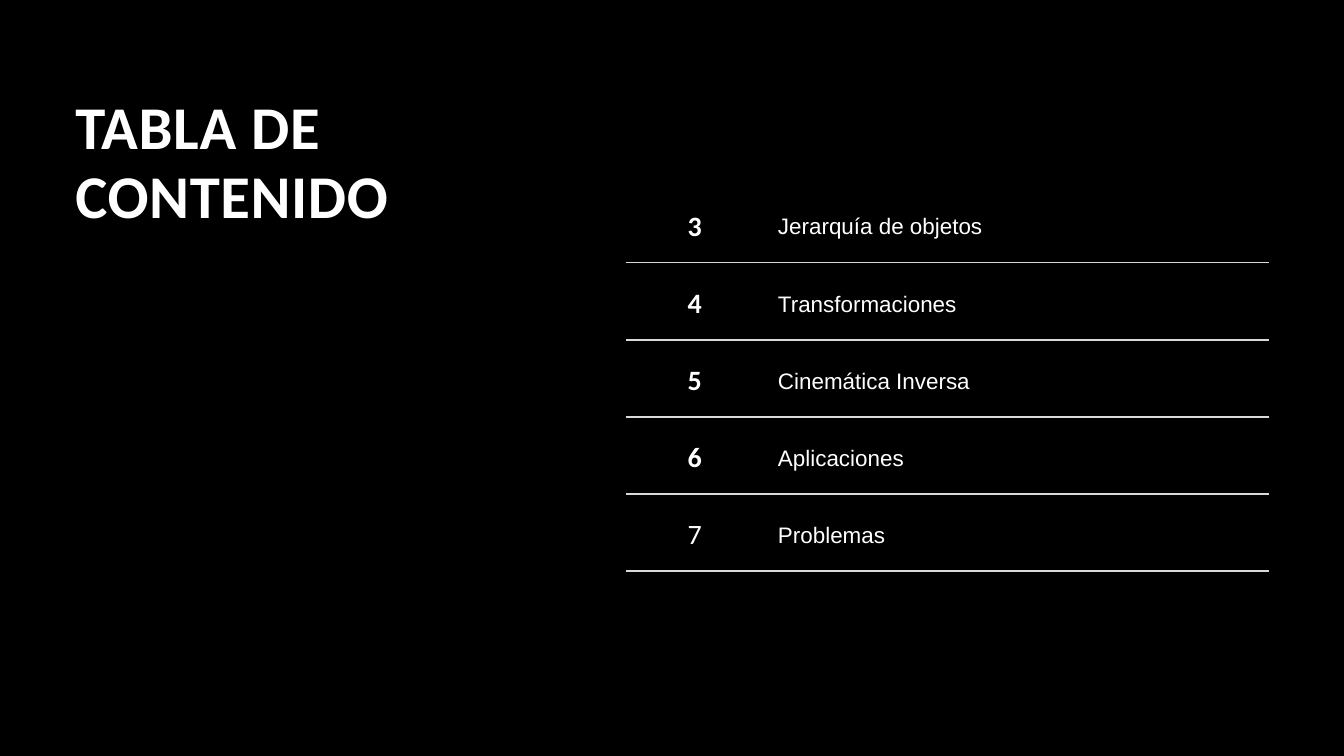
import lxml.etree
import pptx
import pptx.dml.color
import pptx.enum.text
import pptx.oxml.ns
import pptx.util

BLACK = pptx.dml.color.RGBColor(0x00, 0x00, 0x00)
WHITE = pptx.dml.color.RGBColor(0xFF, 0xFF, 0xFF)
RULE_GREY = pptx.dml.color.RGBColor(0xD9, 0xD9, 0xD9)

COLUMN = pptx.util.Inches(1)
ROW = pptx.util.Inches(1)
LINE_RATIO = 1.4
RULE_POINTS = 2.25

TOPICS = [
    "Jerarquía de objetos",
    "Transformaciones",
    "Cinemática Inversa",
    "Aplicaciones",
    "Problemas",
]
FIRST_PAGE = 3


def grid_box(left, top, width, height):
    """Turn columns and rows of the slide grid into lengths."""
    return (
        pptx.util.Emu(int(left * COLUMN)),
        pptx.util.Emu(int(top * ROW)),
        pptx.util.Emu(int(width * COLUMN)),
        pptx.util.Emu(int(height * ROW)),
    )


def write_text(frame, text, *, font, size, leading, bold=False, centred=False, tracking=0):
    """Write one formatted paragraph into a text frame."""
    align = pptx.enum.text.PP_ALIGN
    paragraph = frame.paragraphs[0]
    paragraph.alignment = align.CENTER if centred else align.LEFT
    paragraph.line_spacing = pptx.util.Pt(leading)
    run = paragraph.add_run()
    run.text = text
    run.font.name = font
    run.font.size = pptx.util.Pt(size)
    run.font.bold = bold
    run.font.color.rgb = WHITE
    if tracking:
        run._r.get_or_add_rPr().set("spc", str(round(tracking * 100)))


def set_rules(cell, ruled_sides):
    """Draw grey rules on the given sides of a cell and clear the others."""
    qn = pptx.oxml.ns.qn
    properties = cell._tc.get_or_add_tcPr()
    for side in "LRTB":
        border = lxml.etree.SubElement(properties, qn(f"a:ln{side}"))
        if side in ruled_sides:
            border.set("w", str(pptx.util.Pt(RULE_POINTS)))
            fill = lxml.etree.SubElement(border, qn("a:solidFill"))
            lxml.etree.SubElement(fill, qn("a:srgbClr")).set("val", str(RULE_GREY))
        else:
            border.set("w", "0")
            lxml.etree.SubElement(border, qn("a:noFill"))


def add_heading(slide, box):
    """Place the slide heading in the given box."""
    frame = slide.shapes.add_textbox(*box).text_frame
    frame.word_wrap = True
    frame.margin_left = frame.margin_right = 0
    frame.margin_top = frame.margin_bottom = 0
    write_text(frame, "TABLA DE CONTENIDO", font="Calibri", size=65,
               leading=74.1, bold=True, tracking=0.7)


def add_contents(slide, box):
    """Place the table of page numbers and topics in the given box."""
    contents = slide.shapes.add_table(len(TOPICS), 2, *box).table
    contents.first_row = False
    contents.horz_banding = False
    width, height = box[2:]
    contents.columns[0].width = round(width * 0.215)
    contents.columns[1].width = width - contents.columns[0].width
    last = len(TOPICS) - 1
    for index, topic in enumerate(TOPICS):
        contents.rows[index].height = height // len(TOPICS)
        page_cell, topic_cell = contents.rows[index].cells
        for cell in (page_cell, topic_cell):
            cell.margin_left = cell.margin_right = pptx.util.Inches(0.21)
            cell.margin_top = cell.margin_bottom = pptx.util.Inches(0.21)
            cell.vertical_anchor = pptx.enum.text.MSO_ANCHOR.MIDDLE
            set_rules(cell, "TB" if index else "B")
            cell.fill.background()
        write_text(page_cell.text_frame, str(FIRST_PAGE + index), font="Calibri",
                   size=30, leading=30 * LINE_RATIO, bold=index < last, centred=True)
        write_text(topic_cell.text_frame, topic, font="Arial",
                   size=24, leading=24 * LINE_RATIO)


def main():
    """Build the contents slide and save it."""
    deck = pptx.Presentation()
    deck.slide_width = 20 * COLUMN
    deck.slide_height = int(11.25 * ROW)
    slide = deck.slides.add_slide(deck.slide_layouts[6])
    slide.background.fill.solid()
    slide.background.fill.fore_color.rgb = BLACK
    add_heading(slide, grid_box(1.12, 1.37, 6.81, 2.06))
    add_contents(slide, grid_box(9.31, 2.76, 9.57, 5.74))
    deck.save("out.pptx")


if __name__ == "__main__":
    main()
